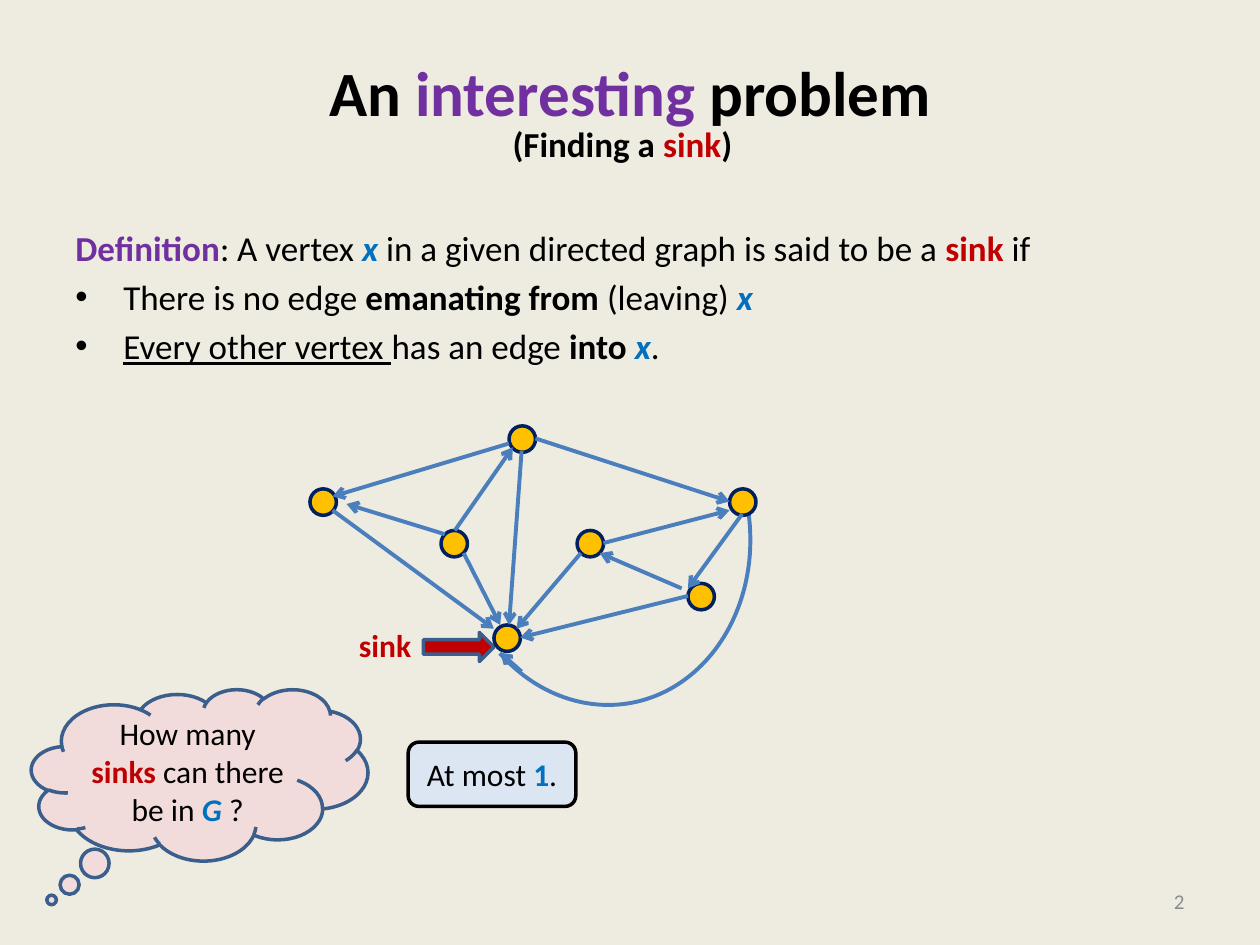
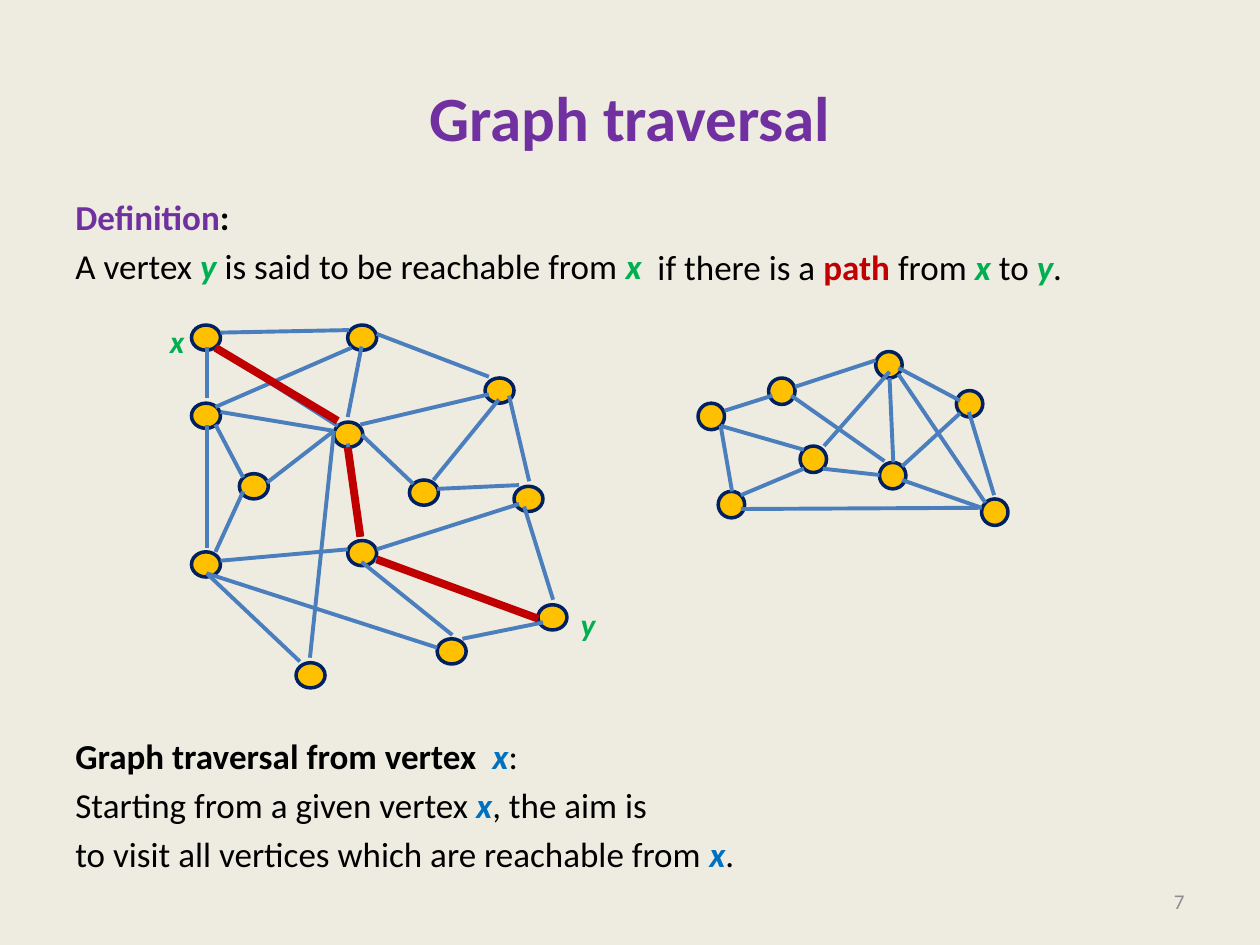
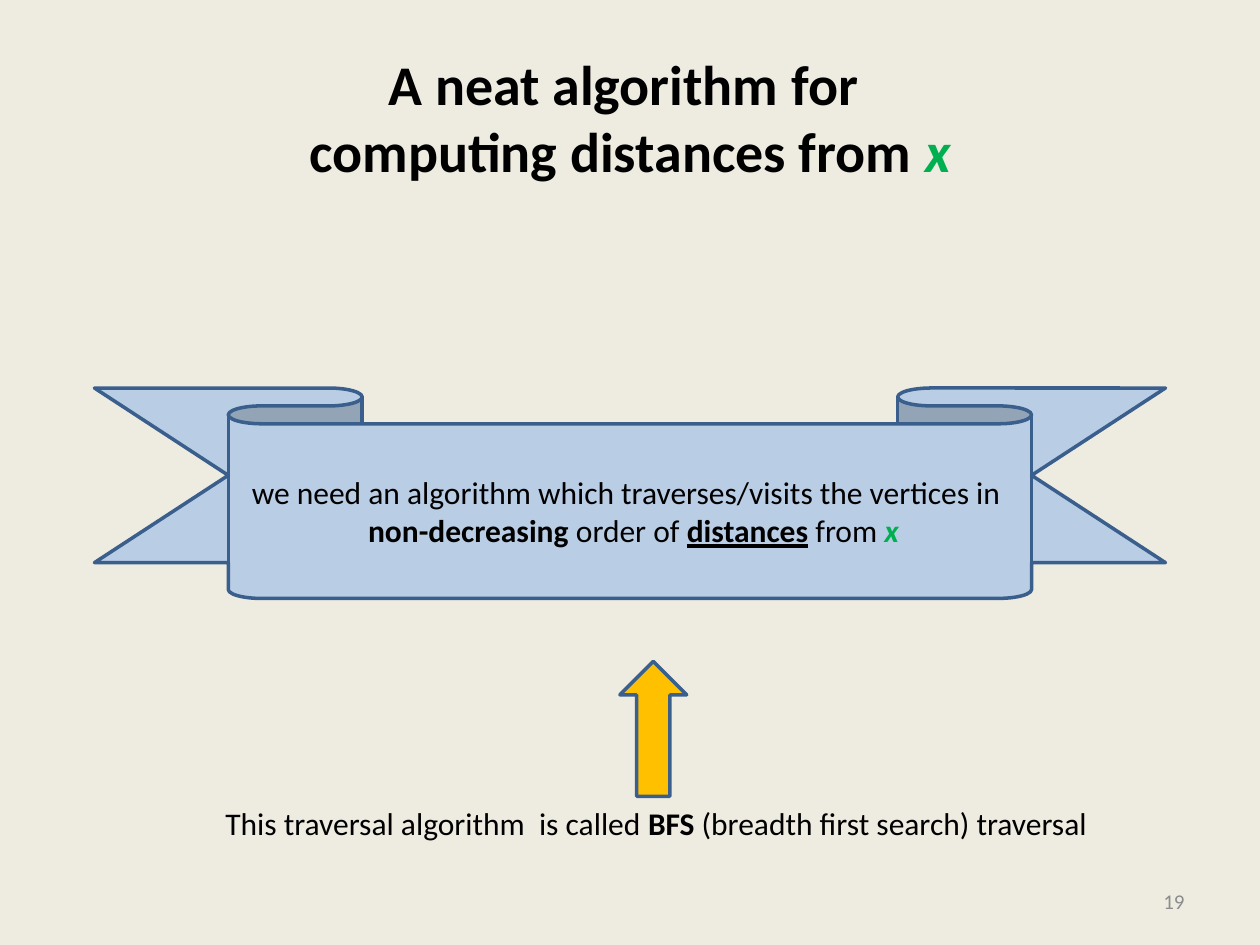
from lxml import etree
from pptx import Presentation
from pptx import util as u
from pptx.dml.color import RGBColor
from pptx.enum import shapes, text
from pptx.oxml.ns import qn

FONT = "Calibri"
BLACK, PURPLE, RED = "000000", "7030A0", "C00000"
BLUE, GREEN, GOLD = "0070C0", "00B050", "FFC000"
BACKGROUND, GREY, NAVY = "EEECE1", "8C8C8C", "002060"
OUTLINE, EDGE = "3A5F8C", "4B7EBC"
PRESET = shapes.MSO_SHAPE
CENTER, RIGHT = text.PP_ALIGN.CENTER, text.PP_ALIGN.RIGHT


def rgb(color):
    return RGBColor.from_string(color)


def variable(name, color):
    """Run for a vertex or graph name: bold italic in its colour."""
    return name, color, "bi"


class Deck:
    def __init__(self):
        self.presentation = Presentation()
        self.presentation.slide_width = u.Inches(10)
        self.presentation.slide_height = u.Inches(7.5)
        self.slide = None

    def new_slide(self, number):
        self.slide = self.presentation.slides.add_slide(self.presentation.slide_layouts[6])
        fill = self.slide.background.fill
        fill.solid()
        fill.fore_color.rgb = rgb(BACKGROUND)
        frame = self.text_box((7.17, 6.95, 2.33, 0.4), [[str(number)]], 12,
                              color=GREY, align=RIGHT)
        frame.vertical_anchor = text.MSO_ANCHOR.MIDDLE

    def fill_text(self, frame, paragraphs, size, color=BLACK, bold=None, align=None,
                  space_before=None, bullets=()):
        """Fill a frame; a run is a string or (text, colour, flags from "biu")."""
        for index, runs in enumerate(paragraphs):
            paragraph = frame.add_paragraph() if index else frame.paragraphs[0]
            paragraph.alignment = align
            if space_before:
                paragraph.space_before = u.Pt(space_before)
            if index in bullets:
                self.add_bullet(paragraph)
            font = paragraph.font
            font.name, font.size, font.bold = FONT, u.Pt(size), bold
            font.color.rgb = rgb(color)
            for part in runs:
                words, run_color, flags = (part, color, "") if isinstance(part, str) else part
                run = paragraph.add_run()
                run.text = words
                if run_color != color:
                    run.font.color.rgb = rgb(run_color)
                if "b" in flags:
                    run.font.bold = True
                if "i" in flags:
                    run.font.italic = True
                if "u" in flags:
                    run.font.underline = True

    def add_bullet(self, paragraph):
        properties = paragraph._p.get_or_add_pPr()
        indent = u.Inches(0.38)
        properties.set("marL", str(indent))
        properties.set("indent", str(-indent))
        etree.SubElement(properties, qn("a:buFont")).set("typeface", "Arial")
        etree.SubElement(properties, qn("a:buChar")).set("char", "•")

    def text_box(self, box, paragraphs, size, wrap=True, **style):
        frame = self.slide.shapes.add_textbox(*map(u.Inches, box)).text_frame
        frame.word_wrap = wrap
        self.fill_text(frame, paragraphs, size, **style)
        return frame

    def title(self, paragraphs, size=36, color=BLACK):
        frame = self.text_box((0.5, 0.3, 9, 1.25), paragraphs, size,
                              color=color, bold=True, align=CENTER)
        frame.vertical_anchor = text.MSO_ANCHOR.MIDDLE
        return frame

    def body(self, box, paragraphs, bullets=()):
        return self.text_box(box, paragraphs, 20, space_before=4, bullets=bullets)

    def label(self, box, runs, size=18, **style):
        frame = self.text_box(box, [runs], size, wrap=False, **style)
        frame.auto_size = text.MSO_AUTO_SIZE.SHAPE_TO_FIT_TEXT

    def shape(self, preset, box, fill=None, line=OUTLINE, width=2, adjustments=(),
              paragraphs=()):
        shape = self.slide.shapes.add_shape(preset, *map(u.Inches, box))
        shape.shadow.inherit = False
        if fill:
            shape.fill.solid()
            shape.fill.fore_color.rgb = rgb(fill)
        else:
            shape.fill.background()
        shape.line.color.rgb = rgb(line)
        shape.line.width = u.Pt(width)
        for index, value in enumerate(adjustments):
            shape.adjustments[index] = value
        if paragraphs:
            shape.text_frame.word_wrap = True
            shape.text_frame.vertical_anchor = text.MSO_ANCHOR.MIDDLE
            self.fill_text(shape.text_frame, paragraphs, 18, align=CENTER)
        return shape

    def vertices(self, corners, width=0.21, height=0.21):
        for left, top in corners:
            self.shape(PRESET.OVAL, (left, top, width, height), GOLD, NAVY)

    def edges(self, ends, color=EDGE, width=2.25, arrow=False):
        for end in ends:
            connector = self.slide.shapes.add_connector(
                shapes.MSO_CONNECTOR.STRAIGHT, *map(u.Inches, end))
            connector.line.color.rgb = rgb(color)
            connector.line.width = u.Pt(width)
            if arrow:
                line = connector.line._get_or_add_ln()
                etree.SubElement(line, qn("a:tailEnd")).set("type", "arrow")
            etree.SubElement(connector._element.spPr, qn("a:effectLst"))


SINK_VERTICES = [(4.04, 3.38), (2.46, 3.88), (5.79, 3.88), (3.5, 4.21),
                 (4.58, 4.21), (5.46, 4.63), (3.92, 4.96)]
SINK_EDGES = [
    (4.25, 3.48, 5.79, 3.98), (4.04, 3.52, 2.64, 3.94), (4.14, 3.58, 4.04, 4.96),
    (5.46, 4.73, 4.13, 5.06), (4.61, 4.39, 4.1, 4.99), (2.64, 4.05, 3.92, 4.99),
    (3.68, 4.39, 3.97, 4.96), (4.79, 4.31, 5.79, 4.05), (5.89, 4.08, 5.46, 4.67),
    (5.41, 4.67, 4.76, 4.39), (3.53, 4.24, 2.75, 4), (4.14, 5.33, 3.97, 5.18),
    (3.61, 4.21, 4.07, 3.55),
]
LEFT_VERTICES = [
    (1.52, 2.58), (1.52, 3.2), (1.9, 3.76), (1.52, 4.38), (2.65, 3.35),
    (2.76, 4.29), (2.35, 5.26), (4.27, 4.8), (3.25, 3.81), (3.47, 5.07),
    (2.76, 2.58), (4.08, 3.86), (3.85, 3),
]
LEFT_EDGES = [
    (1.75, 4.45, 2.76, 4.36), (1.75, 3.27, 2.65, 3.42), (1.75, 2.64, 2.77, 2.62),
    (1.64, 2.75, 1.64, 3.16), (2.86, 3.37, 3.88, 3.13), (2.38, 5.25, 1.64, 4.55),
    (1.64, 3.37, 1.64, 4.35), (2.76, 3.52, 2.87, 4.26), (2.99, 2.65, 3.88, 2.99),
    (4.2, 3.82, 4.04, 3.14), (2.99, 4.36, 4.12, 4), (3.67, 5.07, 4.31, 4.94),
    (1.71, 3.37, 1.93, 3.79), (4.16, 4.02, 4.39, 4.76), (2.65, 3.42, 2.46, 5.22),
    (2.87, 4.46, 3.59, 5.04), (3.47, 3.88, 4.12, 3.85), (2.65, 3.42, 2.12, 3.83),
    (1.71, 4.38, 1.93, 3.9), (3.44, 3.81, 3.96, 3.17), (1.64, 4.55, 3.47, 5.14),
    (2.87, 2.75, 2.76, 3.31), (4.27, 4.91, 2.98, 4.44), (1.71, 2.76, 2.68, 3.38),
    (2.79, 2.76, 1.71, 3.23), (2.87, 3.45, 3.28, 3.84),
]
PATH_EDGES = [(1.71, 2.76, 2.68, 3.34), (2.86, 4.26, 2.76, 3.55), (4.27, 4.91, 2.99, 4.44)]
RIGHT_VERTICES = [(5.54, 3.2), (6.1, 3), (5.7, 3.9), (6.35, 3.54),
                  (6.98, 3.67), (7.59, 3.1), (7.79, 3.96), (6.95, 2.79)]
RIGHT_EDGES = [
    (5.75, 3.26, 6.13, 3.14), (6.31, 3.07, 6.95, 2.86), (7.13, 2.92, 7.62, 3.18),
    (6.28, 3.14, 7.02, 3.66), (7.06, 2.95, 6.54, 3.54), (7.89, 3.93, 7.69, 3.27),
    (7.79, 4.03, 7.16, 3.81), (7.79, 4.03, 5.88, 4.04), (5.88, 3.93, 6.38, 3.72),
    (5.72, 3.38, 6.38, 3.57), (5.72, 3.38, 5.81, 3.9), (6.98, 3.77, 6.53, 3.72),
    (7.62, 3.28, 7.16, 3.7), (7.09, 3.67, 7.06, 3), (7.13, 2.97, 7.82, 3.99),
]


def sink_slide(deck):
    x = variable("x", BLUE)
    deck.new_slide(2)
    title = deck.title([["An", (" interesting ", PURPLE, ""), "problem"]])
    title.margin_bottom = u.Inches(0.45)
    deck.body((0.5, 1.75, 9.42, 4.95), [
        [("Definition", PURPLE, "b"), ": A vertex ", x,
         " in a given directed graph is said to be a ", ("sink", RED, "b"), " if"],
        ["There is no edge ", ("emanating from ", BLACK, "b"), "(leaving) ", x],
        [("Every other vertex ", BLACK, "u"), "has an edge ", ("into ", BLACK, "b"), x, "."],
    ], bullets=(1, 2))
    deck.shape(PRESET.RIGHT_ARROW, (3.36, 5.02, 0.56, 0.23), RED)
    deck.label((2.75, 4.92, 0.62, 0.4), ["sink"], color=RED, bold=True)
    arc = deck.shape(PRESET.ARC, (3.39, 3.04, 2.76, 2.36), line=EDGE, width=2.25,
                     adjustments=(162, 29.18))
    arc.rotation = 81.1
    deck.vertices(SINK_VERTICES)
    deck.edges(SINK_EDGES, arrow=True)
    deck.shape(PRESET.FLOWCHART_ALTERNATE_PROCESS, (3.24, 5.89, 1.33, 0.51), "DCE6F2", BLACK,
               paragraphs=[["At most ", ("1", BLUE, "b"), "."]])
    deck.shape(PRESET.CLOUD_CALLOUT, (0.25, 5.47, 2.67, 1.36), "F2DCDB",
               adjustments=(-0.44, 0.73),
               paragraphs=[["How many ", ("sinks", RED, "b"), " can there be in ",
                            variable("G", BLUE), " ?"]])
    deck.label((3.97, 0.92, 1.96, 0.44), ["(Finding a ", ("sink", RED, ""), ")"],
               size=20, bold=True)


def traversal_slide(deck):
    x, y, start = variable("x", GREEN), variable("y", GREEN), variable("x", BLUE)
    deck.new_slide(7)
    deck.title([["Graph traversal"]], color=PURPLE)
    body = deck.body((0.5, 1.5, 9, 5.2), [
        [("Definition", PURPLE, "b"), (":", BLACK, "b")],
        ["A vertex ", y, " is said to be reachable from ", x],
        [("Graph traversal from vertex  ", BLACK, "b"), start, ":"],
        ["Starting from a given vertex ", start, ", the aim is"],
        ["to visit all vertices which are reachable from ", start, "."],
    ])
    body.paragraphs[2].space_before = u.Pt(256)
    deck.vertices(LEFT_VERTICES, 0.23, 0.2)
    deck.edges(LEFT_EDGES)
    deck.vertices(RIGHT_VERTICES)
    deck.edges(RIGHT_EDGES)
    deck.label((1.25, 2.51, 0.32, 0.4), [x])
    deck.label((4.51, 4.75, 0.32, 0.4), [y])
    deck.edges(PATH_EDGES, RED, 4.5)
    deck.label((5.12, 1.9, 3.44, 0.44),
               ["if there is a ", ("path", RED, "b"), " from ", variable("x ", GREEN),
                "to ", y, "."], size=20)


def distance_slide(deck):
    x = variable("x", GREEN)
    deck.new_slide(19)
    deck.title([["A neat algorithm for "], ["computing distances from ", x]], size=32)
    deck.shape(PRESET.DOWN_RIBBON, (0.75, 3.08, 8.5, 1.67), "B9CDE5",
               adjustments=(0.17, 0.75), paragraphs=[
                   ["we need an algorithm which traverses/visits the vertices in "],
                   [" ", ("non-decreasing", BLACK, "b"), " order of ",
                    ("distances", BLACK, "bu"), " from ", x]])
    deck.shape(PRESET.UP_ARROW, (4.92, 5.25, 0.53, 1.07), GOLD)
    deck.label((1.69, 6.33, 7.06, 0.4),
               ["This traversal algorithm  is called ", ("BFS", BLACK, "b"),
                " (breadth first search) traversal"])


def main():
    deck = Deck()
    sink_slide(deck)
    traversal_slide(deck)
    distance_slide(deck)
    deck.presentation.save("out.pptx")


if __name__ == "__main__":
    main()
